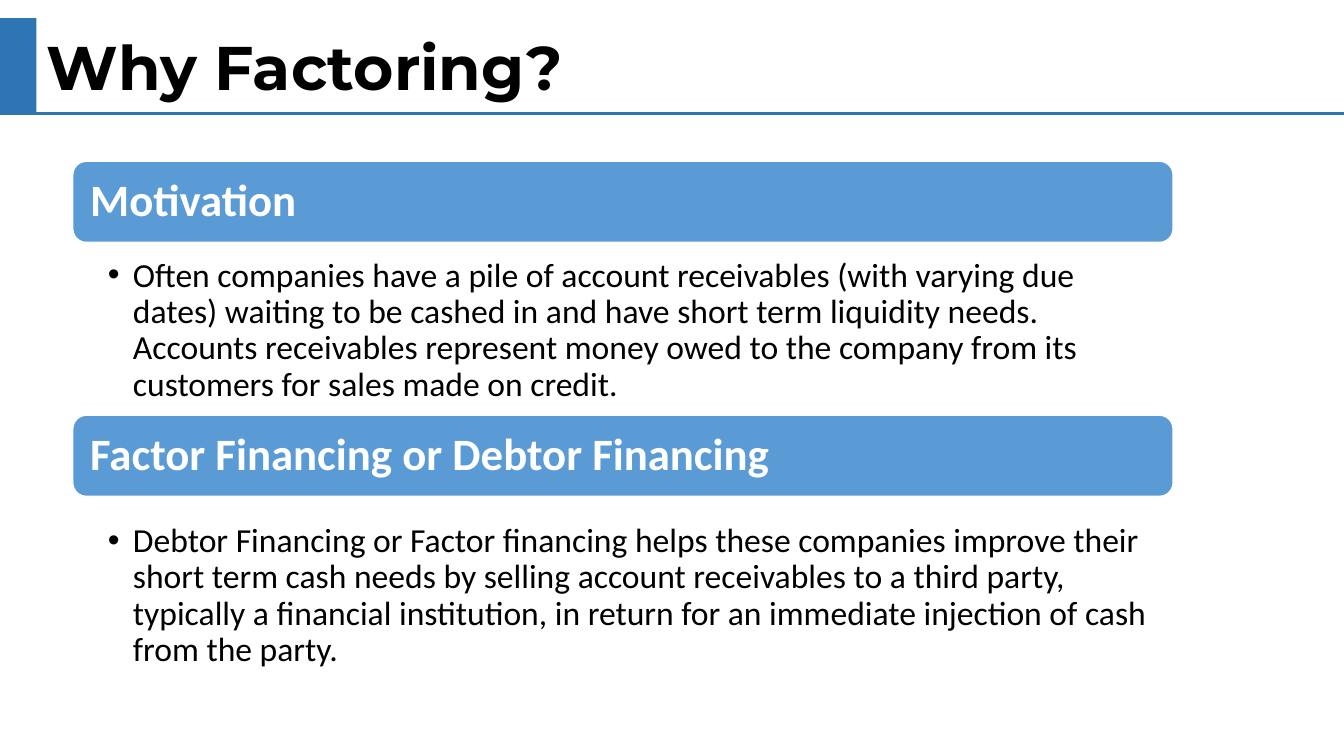
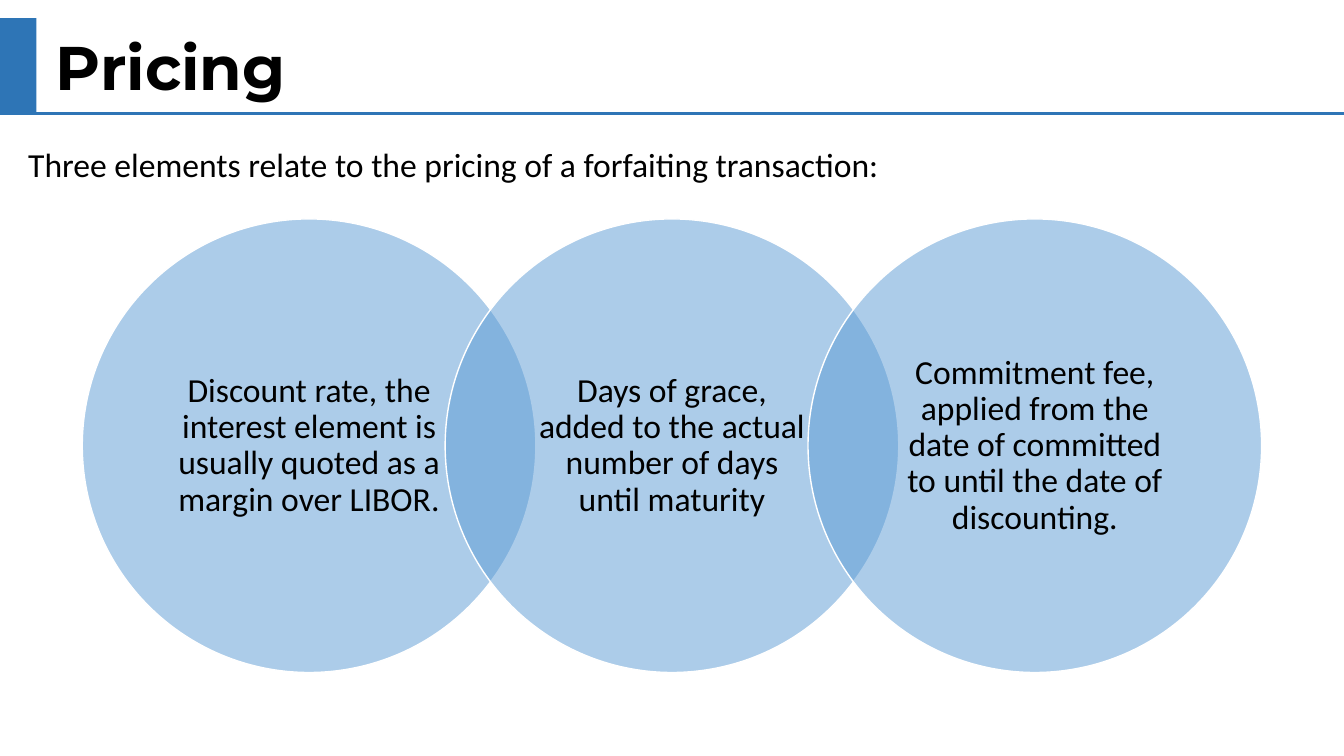
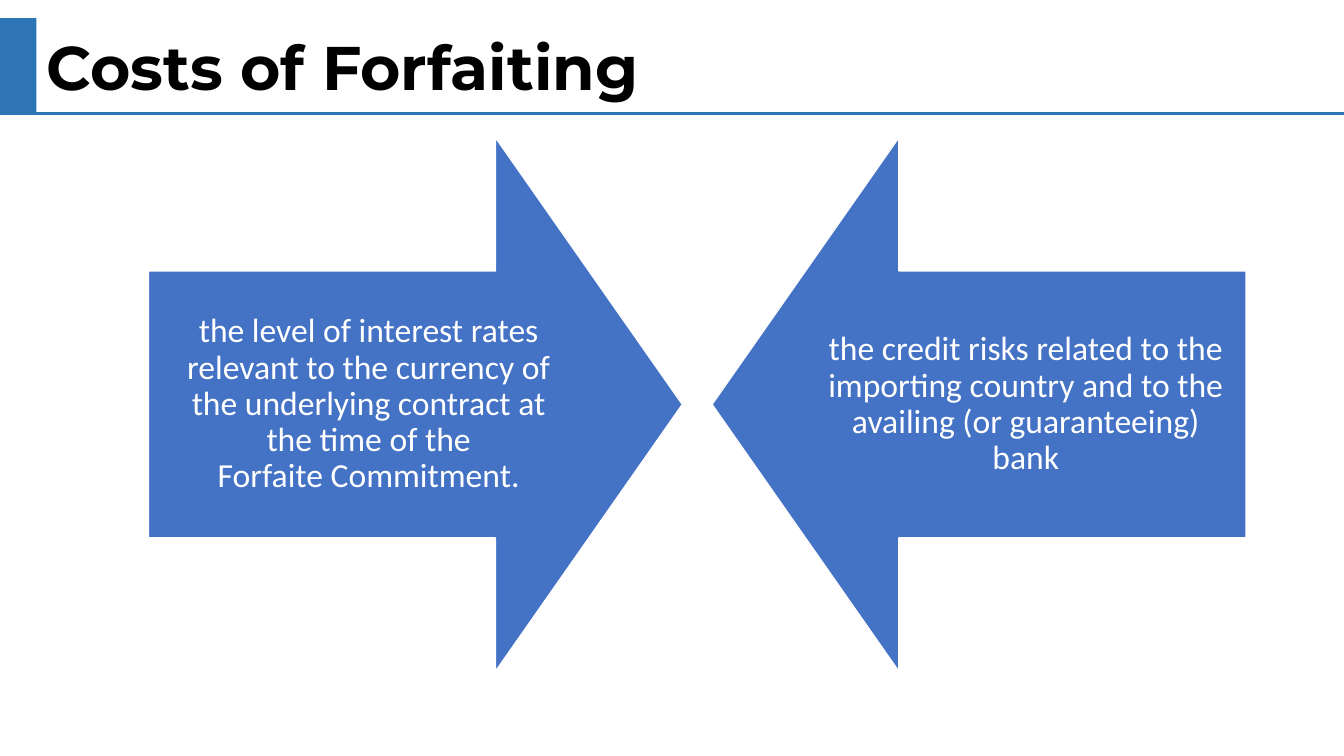
"""Build three slides on factoring and forfaiting."""
from lxml import etree
from pptx import Presentation
from pptx.dml.color import RGBColor
from pptx.enum import shapes as kinds, text as modes
from pptx.oxml.ns import qn
from pptx.util import Pt

HUES = {"band": "2E75B6", "sky": "5B9BD5", "deep": "4472C4",
        "white": "FFFFFF", "black": "000000"}
SHAPE = kinds.MSO_SHAPE
ALIGN = modes.PP_ALIGN
ANCHOR = modes.MSO_ANCHOR
WIDE, HIGH = 960, 540


def hue(name):
    return RGBColor.from_string(HUES[name])


def write(shape, words, size=24, font="Calibri", color="black", bold=False,
          align=ALIGN.LEFT, anchor=ANCHOR.TOP, inset=(7.2, 3.6, 7.2, 3.6),
          lines=1.0):
    frame = shape.text_frame
    frame.word_wrap = True
    frame.auto_size = modes.MSO_AUTO_SIZE.NONE
    frame.vertical_anchor = anchor
    (frame.margin_left, frame.margin_top,
     frame.margin_right, frame.margin_bottom) = map(Pt, inset)
    para = frame.paragraphs[0]
    para.alignment = align
    para.line_spacing = lines
    para.space_before = Pt(0)
    run = para.add_run()
    run.text = words
    run.font.size, run.font.name, run.font.bold = Pt(size), font, bold
    run.font.color.rgb = hue(color)
    return para


def place(shape, left, top, width, height):
    shape.left, shape.top = Pt(left), Pt(top)
    shape.width, shape.height = Pt(width), Pt(height)


def draw(slide, kind, box, fill, edge="white", alpha=None):
    shape = slide.shapes.add_shape(kind, *map(Pt, box))
    shape.shadow.inherit = False
    shape.fill.solid()
    shape.fill.fore_color.rgb = hue(fill)
    if edge:
        shape.line.color.rgb = hue(edge)
        shape.line.width = Pt(1)
    else:
        shape.line.fill.background()
    if alpha:
        tint = shape.fill._xPr.find(".//" + qn("a:srgbClr"))
        etree.SubElement(tint, qn("a:alpha")).set("val", str(alpha * 1000))
    return shape


def start(deck, layout, title, left=26):
    slide = deck.slides.add_slide(deck.slide_layouts.get_by_name(layout))
    head = slide.shapes.title
    place(head, left, 16.8, 800, 60.6)
    write(head, title, size=44, font="Montserrat", bold=True)
    draw(slide, SHAPE.RECTANGLE, (0, 13, 26, 68), "band", edge=None)
    rule = slide.shapes.add_connector(
        kinds.MSO_CONNECTOR.STRAIGHT, 0, Pt(81.2), Pt(WIDE), Pt(81.2))
    rule.line.color.rgb = hue("band")
    rule.line.width = Pt(2.25)
    etree.SubElement(rule._element.spPr, qn("a:effectLst"))
    return slide


def panel(slide, top, words):
    bar = draw(slide, SHAPE.ROUNDED_RECTANGLE, (52, top, 786, 58), "sky")
    write(bar, words, size=32, color="white", bold=True,
          anchor=ANCHOR.MIDDLE, inset=(9.6,) * 4, lines=0.9)


def bullet(body, top, height, words):
    place(body, 52, top, 786, height)
    para = write(body, words, inset=(25, 2.4, 13.6, 2.4), lines=0.9)
    props = para._p.get_or_add_pPr()
    props.set("marL", str(Pt(18)))
    props.set("indent", str(-Pt(18)))


def factor(deck):
    slide = start(deck, "Two Content", "Why Factoring?")
    parts = [
        (115.2, 182, 122, "Motivation",
         "Often companies have a pile of account receivables (with varying "
         "due dates) waiting to be cashed in and have short term liquidity "
         "needs. Accounts receivables represent money owed to the company "
         "from its customers for sales made on credit."),
        (296.6, 371.6, 42, "Factor Financing or Debtor Financing",
         "Debtor Financing or Factor financing helps these companies improve "
         "their short term cash needs by selling account receivables to a "
         "third party, typically a financial institution, in return for an "
         "immediate injection of cash from the party."),
    ]
    bodies = list(slide.placeholders)[1:]
    for body, (top, low, height, name, words) in zip(bodies, parts):
        panel(slide, top, name)
        bullet(body, low, height, words)


def price(deck):
    slide = start(deck, "Title Only", "Pricing", left=32.6)
    intro = slide.shapes.add_textbox(Pt(13), Pt(99.4), Pt(937), Pt(58))
    write(intro, "Three elements relate to the pricing of a forfaiting "
                 "transaction:")
    size, step = 324, 259.2
    left = (WIDE - size - 2 * step) / 2
    notes = [
        "Discount rate, the interest element is usually\u00a0quoted as a "
        "margin over LIBOR.",
        "Days of grace, added to the actual number\u00a0of days until "
        "maturity",
        "Commitment fee, applied from the date of\u00a0committed to until "
        "the date of discounting.",
    ]
    for i, words in enumerate(notes):
        disc = draw(slide, SHAPE.OVAL, (left + i * step, 156.4, size, size),
                    "sky", alpha=50)
        write(disc, words, align=ALIGN.CENTER, anchor=ANCHOR.MIDDLE,
              inset=(17.8, 2.4, 17.8, 2.4), lines=0.9)


def costs(deck):
    slide = start(deck, "Title Only", "Costs of Forfaiting")
    sides = [
        (SHAPE.RIGHT_ARROW, 106,
         "the level of interest rates relevant to the currency of the "
         "underlying contract at the time of the Forfaite\u00a0Commitment."),
        (SHAPE.LEFT_ARROW, 508.6,
         "the credit risks related to the importing country and to the "
         "availing (or guaranteeing) bank"),
    ]
    for kind, left, words in sides:
        arrow = draw(slide, kind, (left, 98.2, 381.4, 381.4), "deep")
        arrow.adjustments[0], arrow.adjustments[1] = 0.5, 0.35
        write(arrow, words, color="white", align=ALIGN.CENTER,
              anchor=ANCHOR.MIDDLE, inset=(13.4,) * 4, lines=0.9)


def main():
    deck = Presentation()
    deck.slide_width, deck.slide_height = Pt(WIDE), Pt(HIGH)
    for build in (factor, price, costs):
        build(deck)
    deck.save("out.pptx")


main()
